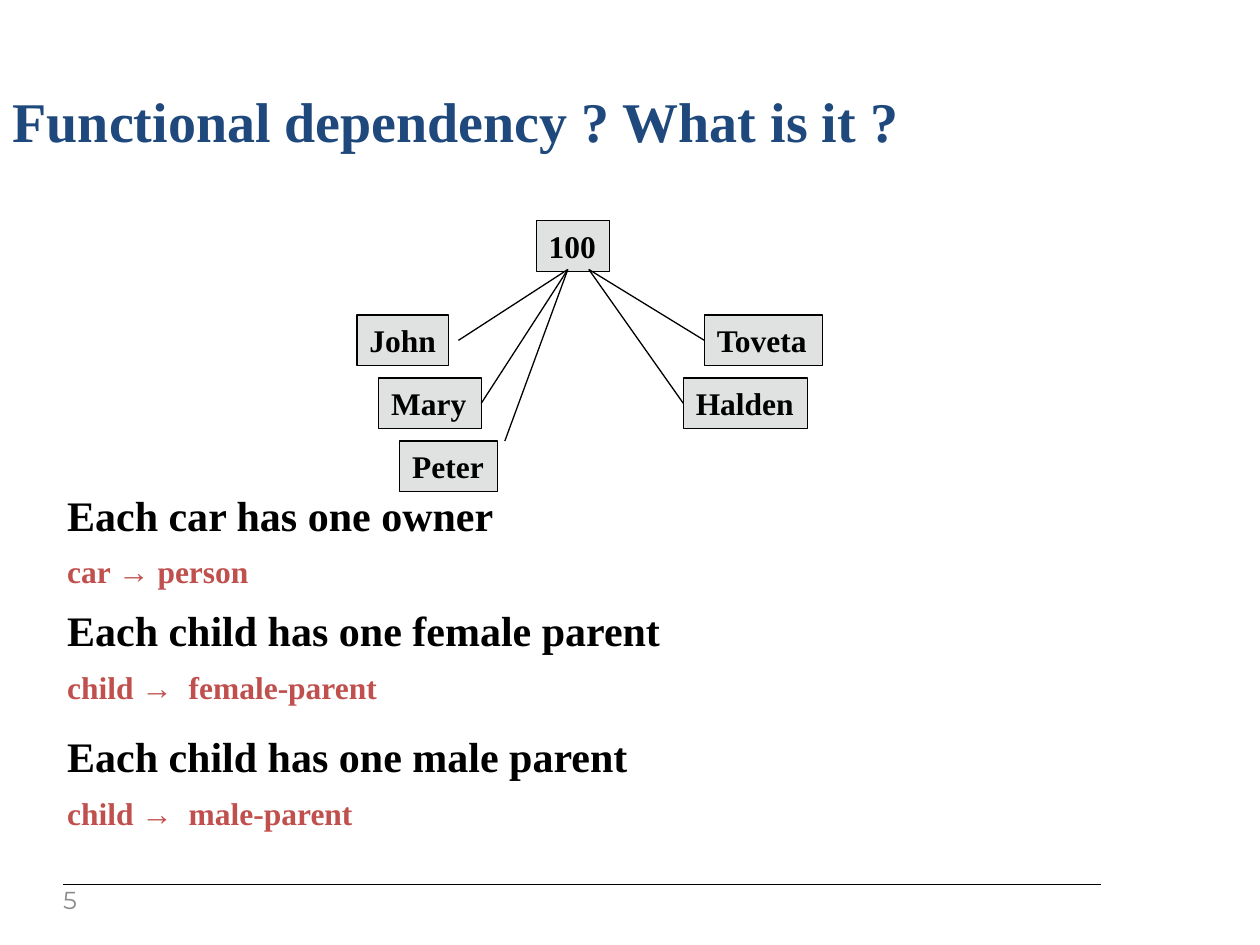
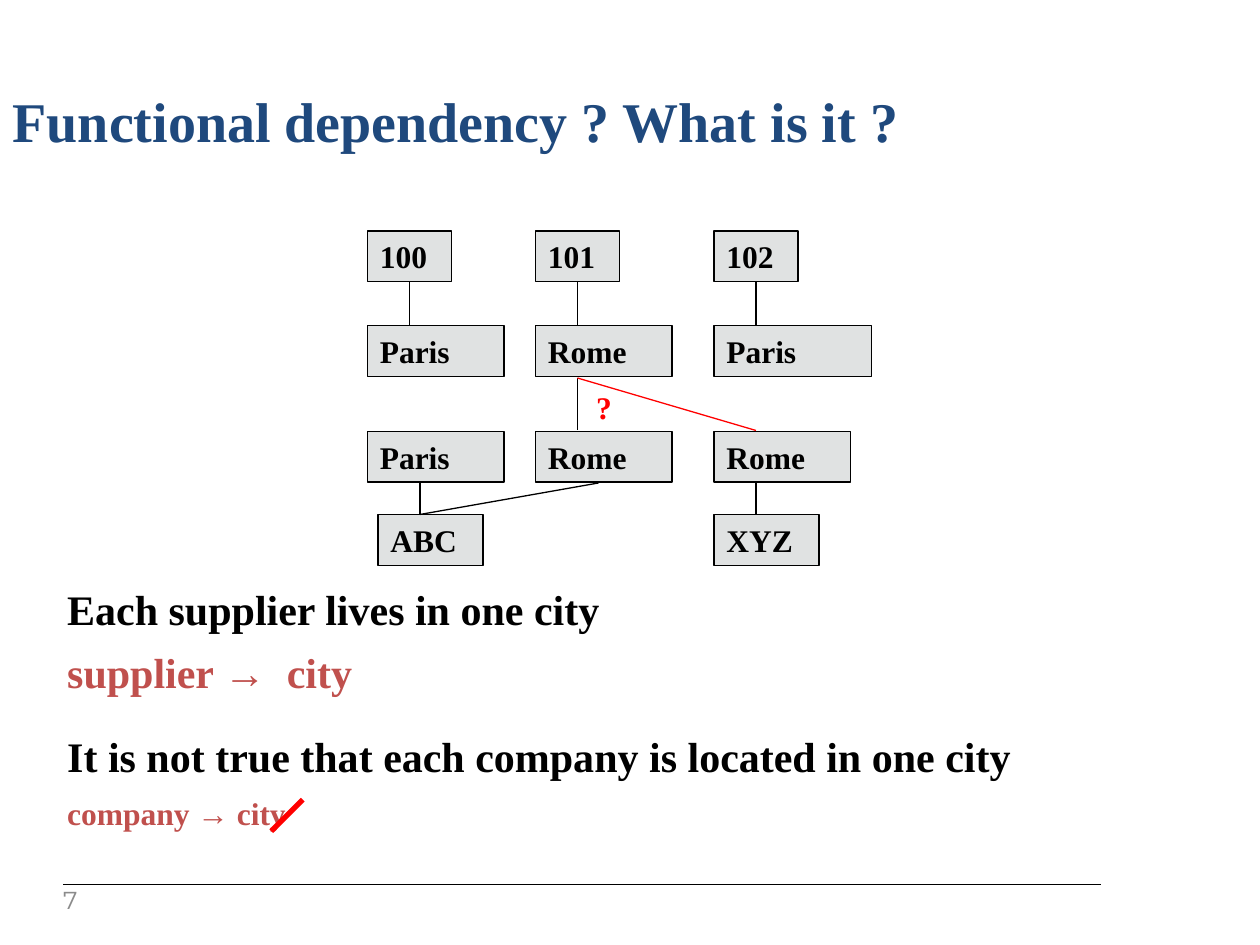
from pptx import Presentation
from pptx.util import Pt
from pptx.dml.color import RGBColor as RGB
from pptx.enum.shapes import MSO_SHAPE as Shape, MSO_CONNECTOR as Conn
from pptx.enum.text import MSO_ANCHOR as Anchor, PP_ALIGN as Align
from pptx.oxml.ns import qn
from lxml import etree

HUES = {"ink": "000000", "title": "1F497D", "rule": "C0504D",
        "box": "E0E2E2", "red": "FF0000", "page": "8B8B8B"}
SERIF = "Times New Roman"
TITLE = "Functional dependency ? What is it ?"
HIGH = 29  # height of every diagram box


def write(shape, text, size, hue="ink", pads=(7.2, 3.6, 7.2, 3.6),
          font=SERIF, bold=True, wrap=True, anchor=Anchor.TOP):
    frame = shape.text_frame
    sides = ("left", "top", "right", "bottom")
    look = {f"margin_{side}": Pt(pad) for side, pad in zip(sides, pads)}
    look |= {"word_wrap": wrap, "vertical_anchor": anchor}
    for key, val in look.items():
        setattr(frame, key, val)
    para = frame.paragraphs[0]
    para.text = text
    para.alignment = Align.LEFT
    for key, val in {"name": font, "size": Pt(size), "bold": bold}.items():
        setattr(para.font, key, val)
    para.font.color.rgb = RGB.from_string(HUES[hue])
    return shape


def link(slide, x1, y1, x2, y2, hue="ink", width=0.75):
    line = slide.shapes.add_connector(
        Conn.STRAIGHT, Pt(x1), Pt(y1), Pt(x2), Pt(y2))
    line.line.color.rgb = RGB.from_string(HUES[hue])
    line.line.width = Pt(width)
    etree.SubElement(line._element.spPr, qn("a:effectLst"))
    return line


deck = Presentation()
deck.slide_width, deck.slide_height = Pt(720), Pt(540)

# Content: page number, captions (top, text, size, hue), boxes (x, y, w, text)
cars = {
    "page": "5", "wrap": False,
    "notes": [(276, "Each car has one owner", 24, "ink"),
              (312, "car → person", 18, "rule"),
              (342, "Each child has one female parent", 24, "ink"),
              (378, "child →  female-parent", 18, "rule"),
              (414, "Each child has one male parent", 24, "ink"),
              (450, "child →  male-parent", 18, "rule")],
    "boxes": [(306.5, 126, 42, "100"), (204, 180, 52.5, "John"),
              (216.5, 216, 58.5, "Mary"), (228.5, 252, 56, "Peter"),
              (402.5, 180, 67.5, "Toveta"), (390.5, 216, 71, "Halden")],
}
cols, rows = (210, 306, 408), (132, 186, 246.5, 294)
towns = {
    "page": "7", "wrap": True,
    "notes": [(330, "Each supplier lives in one city", 24, "ink"),
              (366, "supplier →  city", 24, "rule"),
              (414, "It is not true that each company is located in one city",
               24, "ink"),
              (450, "company → city", 18, "rule")],
    "boxes": [(x, rows[0], 48, t) for x, t in zip(cols, ("100", "101", "102"))]
    + [(x, rows[1], w, t) for x, w, t in
       zip(cols, (78, 78, 90), ("Paris", "Rome", "Paris"))]
    + [(x, rows[2], 78, t) for x, t in zip(cols, ("Paris", "Rome", "Rome"))]
    + [(216, rows[3], 60, "ABC"), (408, rows[3], 60, "XYZ")],
}

# Parts that both slides share
made = []
for page in (cars, towns):
    slide = deck.slides.add_slide(deck.slide_layouts[5])
    link(slide, 36, 505.5, 629, 505.5)

    head = slide.shapes.title
    for key, val in {"left": 0, "top": 44.5, "width": 720,
                     "height": 48.5}.items():
        setattr(head, key, Pt(val))
    write(head, TITLE, 32, "title", anchor=Anchor.MIDDLE)

    for top, text, size, hue in page["notes"]:
        note = slide.shapes.add_textbox(
            Pt(24), Pt(top), Pt(664), Pt(size * 1.2 + 7.5))
        write(note, text, size, hue, (14.4, 3.6, 14.4, 3.6))

    nodes = []
    for x, y, w, text in page["boxes"]:
        box = slide.shapes.add_shape(
            Shape.RECTANGLE, Pt(x), Pt(y), Pt(w), Pt(HIGH))
        box.shadow.inherit = False
        box.fill.solid()
        box.fill.fore_color.rgb = RGB.from_string(HUES["box"])
        box.line.color.rgb = RGB.from_string(HUES["ink"])
        box.line.width = Pt(0.75)
        nodes.append(write(box, text, 18, wrap=page["wrap"]))

    num = slide.shapes.add_textbox(Pt(36), Pt(508.5), Pt(29), Pt(15))
    write(num, page["page"], 14, "page", (0, 0, 7.2, 3.6), "Montserrat",
          False, anchor=Anchor.MIDDLE)
    made.append((slide, nodes))

# Car slide: two fans of lines below the car
slide, nodes = made[0]
link(slide, 324.5, 154, 262, 194.5)
link(slide, 324.5, 154, 288.5, 252)
for start, node, side in ((324.5, 2, 3), (336.5, 5, 1), (336.5, 4, 1)):
    link(slide, start, 154, start, 200).end_connect(nodes[node], side)

# Supplier slide: each supplier drops to its city
slide, nodes = made[1]
for node, x in zip(nodes, cols):
    link(slide, x + 24, 162, x + 24, rows[1]).begin_connect(node, 2)

# Cities down to companies, and the doubtful link in red
for x1, y1, x2, y2, hue in ((240, 294, 240, 276, "ink"),
                            (240, 294, 342, 276, "ink"),
                            (432, 294, 432, 276, "ink"),
                            (330, 216, 330, 246, "ink"),
                            (330, 216, 432, 246, "red")):
    link(slide, x1, y1, x2, y2, hue)
doubt = slide.shapes.add_textbox(Pt(333.5), Pt(218), Pt(24), Pt(HIGH))
write(doubt, "?", 18, "red")

# Stroke through the false rule
link(slide, 173, 457, 155, 475, "red", 3)

deck.save("out.pptx")
